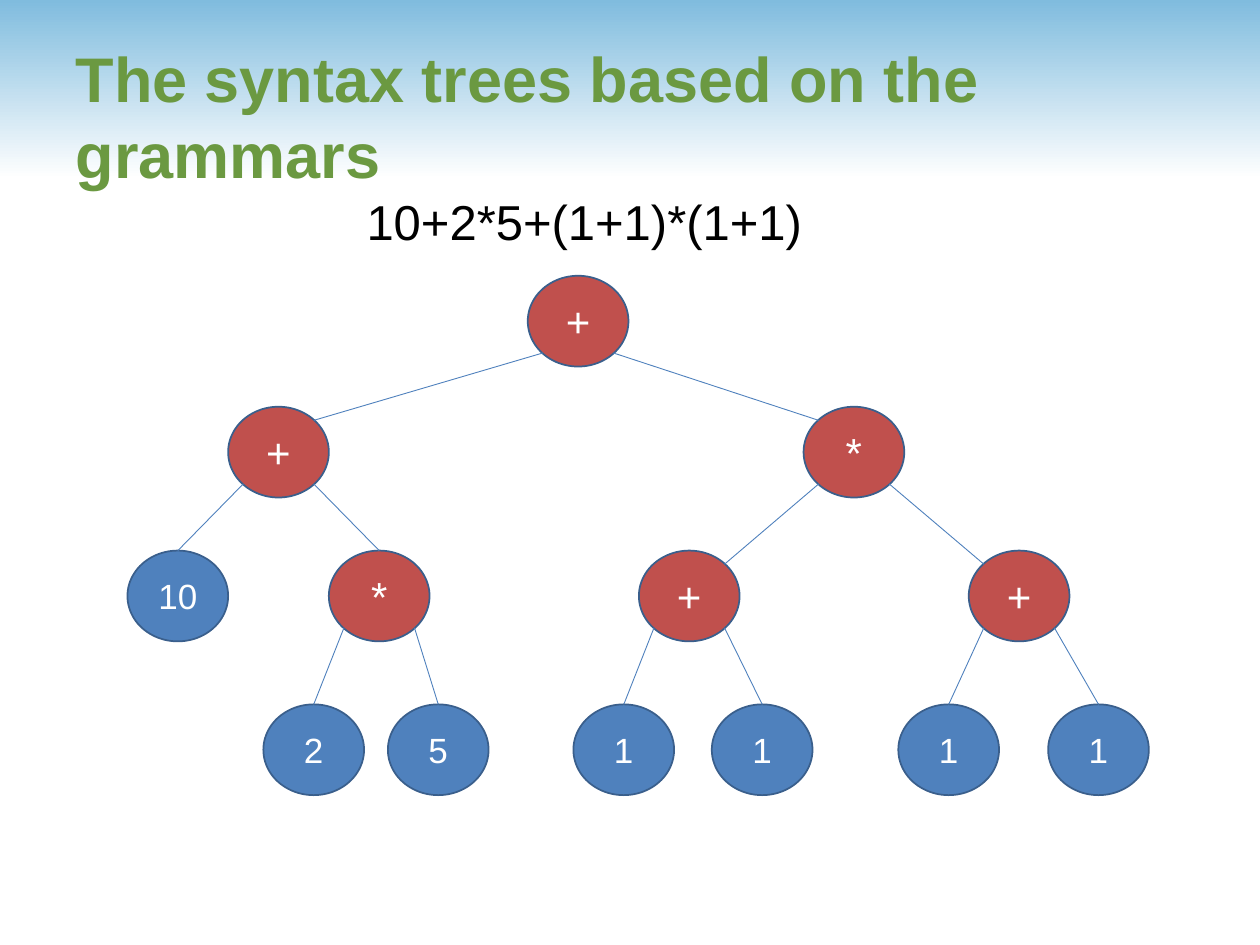
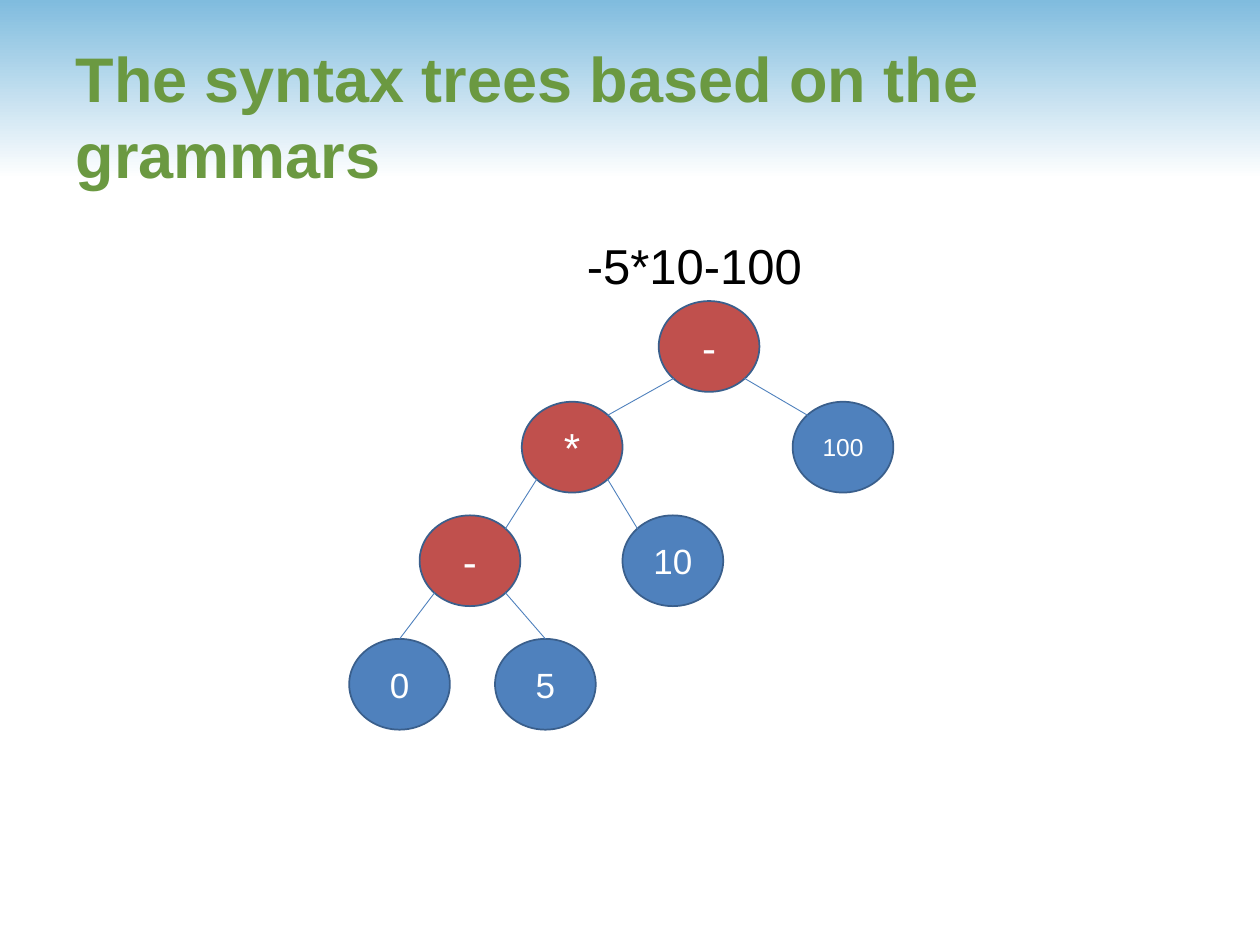
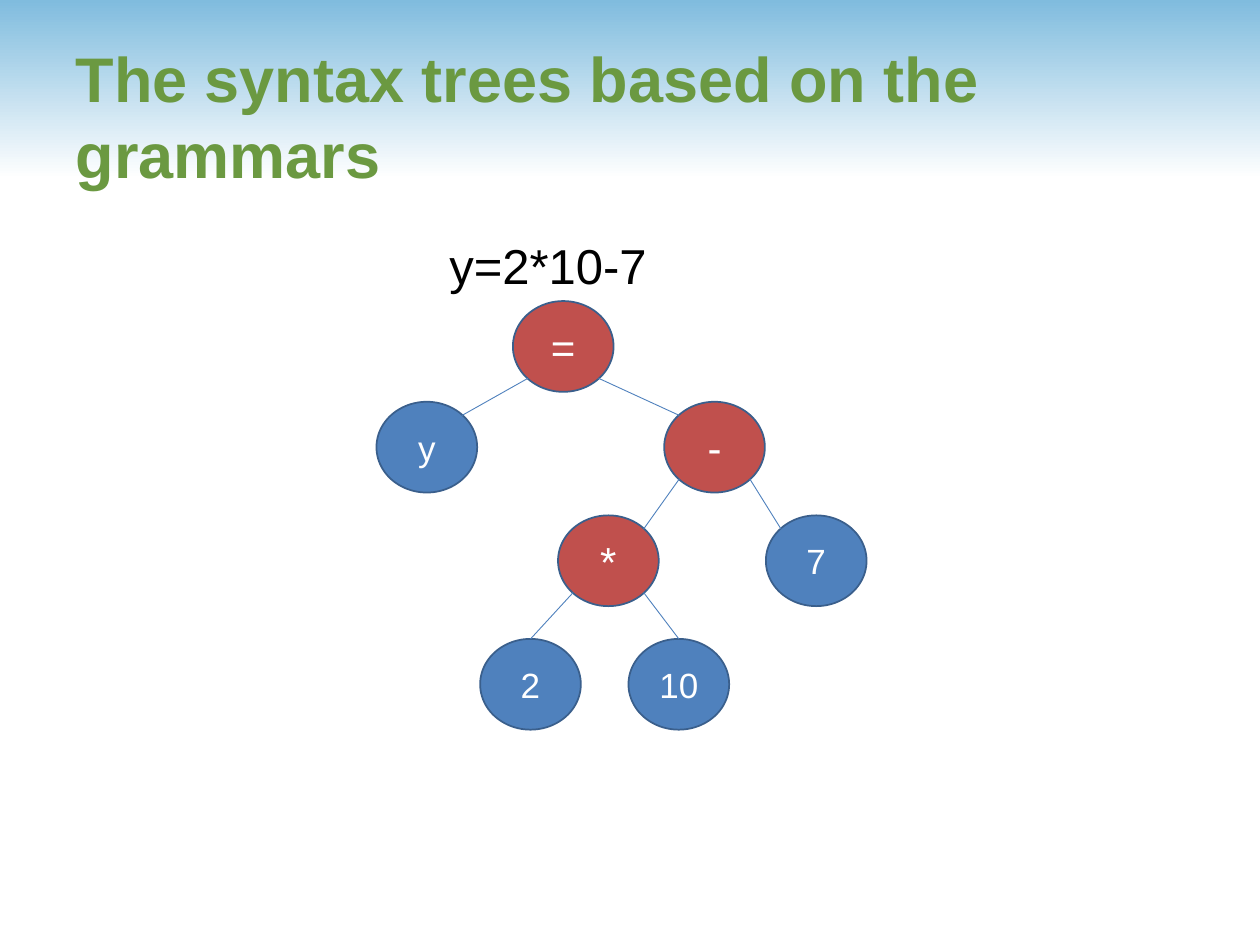
"""Build three slides that show expressions and their syntax trees."""
from lxml import etree
from pptx import Presentation
from pptx.dml.color import RGBColor
from pptx.enum.shapes import MSO_CONNECTOR, MSO_SHAPE
from pptx.enum.text import MSO_ANCHOR, MSO_AUTO_SIZE, PP_ALIGN
from pptx.oxml.ns import qn
from pptx.util import Cm, Pt

GREEN, RED, BLUE, OUTLINE = "6B9941", "C0504D", "4F81BD", "3A5F8C"
NODE_W, NODE_H = 2.03, 1.83
DIAGONAL = 0.35

# Node: label, left, row, index of parent, side of the node where its edge ends.
TREES = [
    ("10+2*5+(1+1)*(1+1)", (7.14, 3.73, 9.4), [5.56, 8.2, 11.1, 14.2], [
        ("+", 10.64, 0, None, None),
        ("+", 4.6, 1, 0, "corner"), ("*", 16.2, 1, 0, "corner"),
        ("10", 2.57, 2, 1, "top"), ("*", 6.63, 2, 1, "top"),
        ("+", 12.88, 2, 2, "corner"), ("+", 19.53, 2, 2, "corner"),
        ("2", 5.31, 3, 4, "top"), ("5", 7.82, 3, 4, "top"),
        ("1", 11.56, 3, 5, "top"), ("1", 14.35, 3, 5, "top"),
        ("1", 18.11, 3, 6, "top"), ("1", 21.13, 3, 6, "top")]),
    ("-5*10-100", (11.58, 4.62, 4.9), [6.07, 8.1, 10.39, 12.88], [
        ("-", 13.28, 0, None, None),
        ("*", 10.52, 1, 0, "corner"), ("100", 15.98, 1, 0, "corner"),
        ("-", 8.46, 2, 1, "corner"), ("10", 12.55, 2, 1, "corner"),
        ("0", 7.04, 3, 3, "top"), ("5", 9.98, 3, 3, "top")]),
    ("y=2*10-7", (8.81, 4.62, 4.55), [6.07, 8.1, 10.39, 12.88], [
        ("=", 10.34, 0, None, None),
        ("y", 7.59, 1, 0, "corner"), ("-", 13.39, 1, 0, "corner"),
        ("*", 11.25, 2, 2, "corner"), ("7", 15.44, 2, 2, "corner"),
        ("2", 9.68, 3, 3, "top"), ("10", 12.67, 3, 3, "top")]),
]


def rgb(color):
    return RGBColor.from_string(color)


def write(tf, text, size, color, align=PP_ALIGN.LEFT, bold=False):
    tf.text = text
    p = tf.paragraphs[0]
    p.alignment = align
    font = p.runs[0].font
    font.name, font.size, font.bold = "Arial", Pt(size), bold
    font.color.rgb = rgb(color)


prs = Presentation()
prs.slide_width, prs.slide_height = Cm(25.4), Cm(19.05)
slides = [prs.slides.add_slide(prs.slide_layouts[5]) for _ in TREES]

band = slides[0].shapes.add_shape(MSO_SHAPE.PENTAGON, 0, 0, prs.slide_width, Cm(3.61))
band.adjustments[0] = 0
band.shadow.inherit = False
band.line.fill.background()
band.fill.gradient()
band.fill.gradient_angle = 270
for stop, color in zip(band.fill.gradient_stops, ("80BCDE", "FFFFFF")):
    stop.color.rgb = rgb(color)
band.element.nvSpPr.cNvPr.set("id", "99")
prs.slide_master.shapes.element.insert(2, band.element)

for s, (expression, (left, top, width), rows, nodes) in zip(slides, TREES):
    title = s.shapes.title
    title.left, title.top, title.width, title.height = Cm(1.27), Cm(0.74), Cm(23.06), Cm(3.18)
    tf = title.text_frame
    tf.vertical_anchor = MSO_ANCHOR.MIDDLE
    tf.auto_size = MSO_AUTO_SIZE.NONE
    write(tf, "The syntax trees based on the grammars", 36, GREEN, bold=True)

    tf = s.shapes.add_textbox(Cm(left), Cm(top), Cm(width), Cm(1.45)).text_frame
    tf.word_wrap = False
    tf.auto_size = MSO_AUTO_SIZE.SHAPE_TO_FIT_TEXT
    write(tf, expression, 28, "000000")

    centers = [(x + NODE_W / 2, rows[row] + NODE_H / 2) for _, x, row, _, _ in nodes]
    for (label, x, row, parent, end), (cx, cy) in zip(nodes, centers):
        operator = label in "+-*="
        sp = s.shapes.add_shape(MSO_SHAPE.OVAL, Cm(x), Cm(rows[row]), Cm(NODE_W), Cm(NODE_H))
        sp.shadow.inherit = False
        sp.fill.solid()
        sp.fill.fore_color.rgb = rgb(RED if operator else BLUE)
        sp.line.color.rgb = rgb(OUTLINE)
        sp.line.width = Pt(1)
        sp.text_frame.vertical_anchor = MSO_ANCHOR.MIDDLE
        size = 24 if operator else 14 if len(label) > 2 else 20
        write(sp.text_frame, label, size, "FFFFFF", PP_ALIGN.CENTER)
        if parent is None:
            continue

        px, py = centers[parent]
        dx = DIAGONAL * NODE_W * (1 if cx > px else -1)
        dy = DIAGONAL * NODE_H
        end_x, end_y = (cx, rows[row]) if end == "top" else (cx - dx, cy - dy)
        edge = s.shapes.add_connector(MSO_CONNECTOR.STRAIGHT, Cm(px + dx), Cm(py + dy),
                                      Cm(end_x), Cm(end_y))
        edge.line.color.rgb = rgb(BLUE)
        edge.line.width = Pt(0.5)
        etree.SubElement(edge.element.spPr, qn("a:effectLst"))

prs.save("out.pptx")
